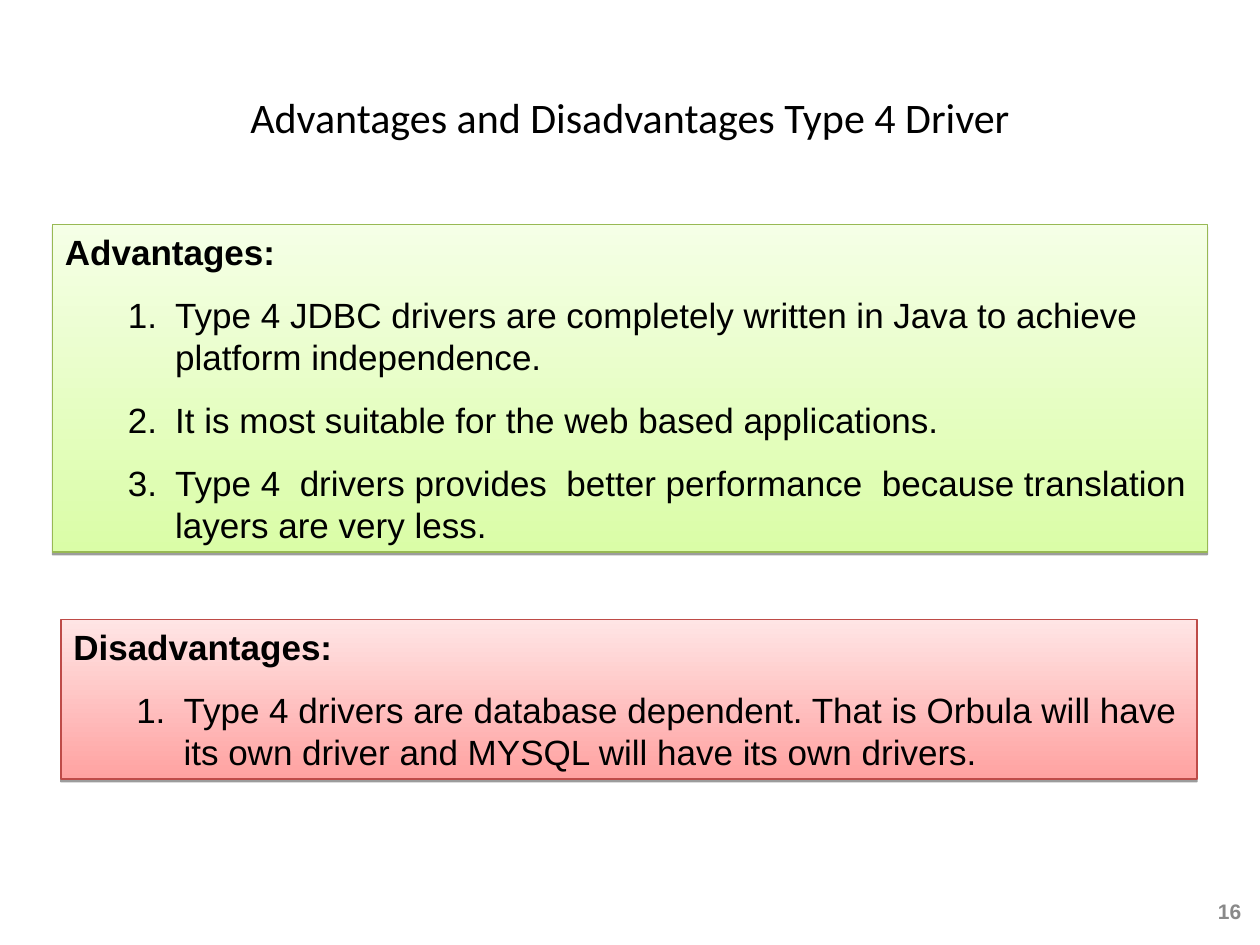
from lxml import etree
from pptx import Presentation
from pptx.dml.color import RGBColor
from pptx.enum.shapes import MSO_SHAPE
from pptx.enum.text import MSO_ANCHOR, PP_ALIGN
from pptx.oxml.ns import qn
from pptx.util import Pt

RECT = MSO_SHAPE.RECTANGLE
TOP, MIDDLE = MSO_ANCHOR.TOP, MSO_ANCHOR.MIDDLE
LEFT, CENTER, RIGHT = PP_ALIGN.LEFT, PP_ALIGN.CENTER, PP_ALIGN.RIGHT
TITLE_ONLY = 5

COLORS = {
    "text": "000000",
    "page": "898989",
    "shadow": "000000",
    "green_dark": "DAFDA7",
    "green_light": "F5FFE6",
    "green_line": "98B954",
    "red_dark": "FFA2A1",
    "red_light": "FFE5E5",
    "red_line": "BE4B48",
}

ADVANTAGES = [
    "Type 4 JDBC drivers are completely written in Java to achieve platform independence.",
    "It is most suitable for the web based applications.",
    "Type 4  drivers provides  better performance  because translation layers are very less.",
]
DISADVANTAGES = [
    "Type 4 drivers are database dependent. That is Orbula will have "
    "its own driver and MYSQL will have its own drivers.",
]


def rgb(name):
    return RGBColor.from_string(COLORS[name])


def write(p, text, size, align=LEFT, color="text", font="Arial", bold=False):
    p.text = text
    p.alignment = align
    for r in p.runs:
        r.font.name = font
        r.font.size = Pt(size)
        r.font.bold = bold
        r.font.color.rgb = rgb(color)


def number(p):
    """Give a paragraph a hanging automatic number."""
    p.level = 1
    pPr = p._p.get_or_add_pPr()
    pPr.set("marL", str(Pt(63)))
    pPr.set("indent", str(Pt(-27)))
    etree.SubElement(pPr, qn("a:buFont"), typeface="Arial")
    etree.SubElement(pPr, qn("a:buAutoNum"), type="arabicPeriod")


def add_drop_shadow(sp):
    sp.shadow.inherit = False
    effects = sp._element.spPr.find(qn("a:effectLst"))
    shadow = etree.SubElement(effects, qn("a:outerShdw"), blurRad="0",
                              dist=str(Pt(1.6)), dir="5400000", rotWithShape="0")
    color = etree.SubElement(shadow, qn("a:srgbClr"), val=COLORS["shadow"])
    etree.SubElement(color, qn("a:alpha"), val="38000")


def add_title(s, text):
    sp = s.shapes.title
    sp.left, sp.top, sp.width, sp.height = Pt(36), Pt(21.6), Pt(648), Pt(90)
    sp.text_frame.vertical_anchor = MIDDLE
    write(sp.text_frame.paragraphs[0], text, 24, CENTER, font="Calibri")


def add_page_number(s, text):
    sp = s.shapes.add_textbox(Pt(681.1), Pt(508.3), Pt(35.3), Pt(25.2))
    tf = sp.text_frame
    tf.word_wrap = True
    tf.vertical_anchor = MIDDLE
    write(tf.paragraphs[0], text, 12, RIGHT, "page", bold=True)


def add_panel(s, box, hue, heading, items):
    """Add a shaded box with a bold heading above a numbered list."""
    sp = s.shapes.add_shape(RECT, *map(Pt, box))
    sp.fill.gradient()
    sp.fill.gradient_angle = 90
    for stop, shade in zip(sp.fill.gradient_stops, ("dark", "light")):
        stop.color.rgb = rgb(f"{hue}_{shade}")
    sp.line.color.rgb = rgb(f"{hue}_line")
    sp.line.width = Pt(0.75)
    add_drop_shadow(sp)

    tf = sp.text_frame
    tf.word_wrap = True
    tf.vertical_anchor = TOP
    write(tf.paragraphs[0], heading, 20, bold=True)
    for item in items:
        p = tf.add_paragraph()
        p.space_before = Pt(12)
        number(p)
        write(p, item, 20)


def main():
    prs = Presentation()
    prs.slide_width, prs.slide_height = Pt(720), Pt(540)
    s = prs.slides.add_slide(prs.slide_layouts[TITLE_ONLY])
    add_title(s, "Advantages and Disadvantages Type 4 Driver")
    add_page_number(s, "16")
    add_panel(s, (34.8, 354, 649.2, 91.2), "red", "Disadvantages:", DISADVANTAGES)
    add_panel(s, (30, 128.2, 660, 187.2), "green", "Advantages:", ADVANTAGES)
    prs.save("out.pptx")


if __name__ == "__main__":
    main()
